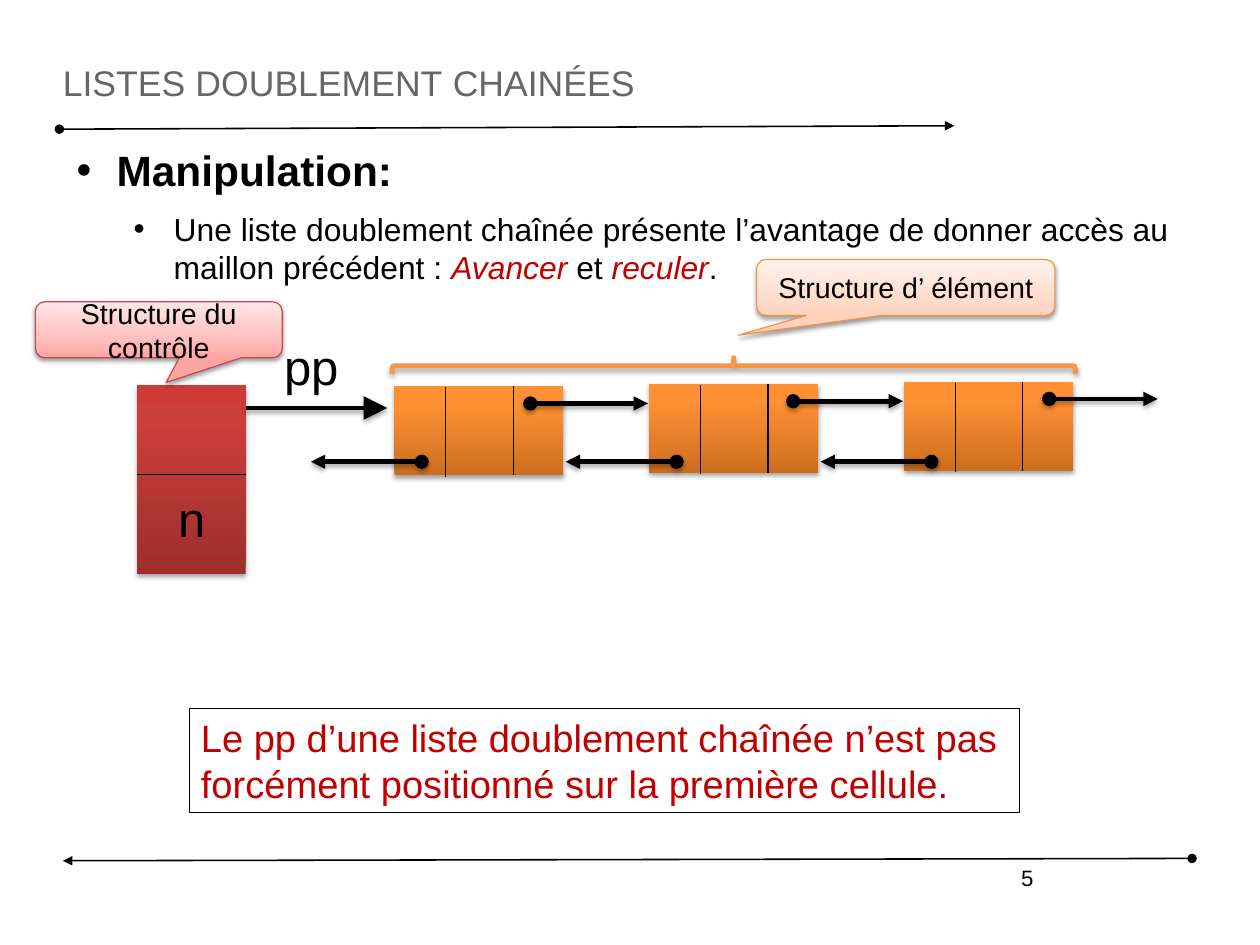
from lxml import etree
from pptx import Presentation
from pptx.dml.color import RGBColor
from pptx.enum.shapes import MSO_CONNECTOR, MSO_SHAPE
from pptx.enum.text import MSO_ANCHOR, MSO_AUTO_SIZE, PP_ALIGN
from pptx.oxml.ns import qn
from pptx.util import Emu, Inches, Pt

STRAIGHT = MSO_CONNECTOR.STRAIGHT
RECTANGLE = MSO_SHAPE.RECTANGLE
CALLOUT = MSO_SHAPE.ROUNDED_RECTANGULAR_CALLOUT
LEFT_BRACE = MSO_SHAPE.LEFT_BRACE
LEFT, CENTER, RIGHT = PP_ALIGN.LEFT, PP_ALIGN.CENTER, PP_ALIGN.RIGHT
TOP, MIDDLE = MSO_ANCHOR.TOP, MSO_ANCHOR.MIDDLE
NO_AUTOFIT = MSO_AUTO_SIZE.NONE

# The 28 x 21 cm screen format, in its exact units
SLIDE_WIDTH, SLIDE_HEIGHT = Emu(10080625), Emu(7559675)
FONT = "Arial"
BLACK, WHITE, GREY, RED = "000000", "FFFFFF", "666666", "C00000"
ORANGE_STOPS = [(0, "CC6E20"), (80, "FF9034"), (100, "FF9136")]
RED_STOPS = [(0, "9C2F2D"), (80, "CB3E3A"), (100, "CE3B37")]
PINK_STOPS = [(0, "FFA6A5"), (35, "FFC0BF"), (100, "FFE7E7")]
PEACH_STOPS = [(0, "FFD2BD"), (35, "FFDED0"), (100, "FFF2ED")]


def rgb(value):
    return RGBColor.from_string(value)


def add_element(parent, tag, **attributes):
    return etree.SubElement(parent, qn(tag), {k: str(v) for k, v in attributes.items()})


def format_font(font, size, color, bold=False, italic=False):
    font.name, font.size = FONT, Pt(size)
    font.bold, font.italic = bold, italic
    font.color.rgb = rgb(color)


def set_line(line, color, width):
    line.color.rgb = rgb(color)
    line.width = Pt(width)


def add_shadow(effects, alpha=35, distance=1.8):
    shadow = add_element(effects, "a:outerShdw", blurRad=Pt(3.1), dist=Pt(distance),
                         dir=90 * 60000, rotWithShape=0)
    color = add_element(shadow, "a:srgbClr", val=BLACK)
    add_element(color, "a:alpha", val=alpha * 1000)


def fill_gradient(shape, stops):
    """Fill from the bottom edge to the top with (percent, colour) stops."""
    shape.fill.gradient()
    shape.fill.gradient_angle = 90
    stop_list = shape._element.spPr.find(qn("a:gradFill")).find(qn("a:gsLst"))
    stop_list.clear()
    for percent, color in stops:
        stop = add_element(stop_list, "a:gs", pos=percent * 1000)
        add_element(stop, "a:srgbClr", val=color)


def write_text(shape, text, size, color=BLACK, align=LEFT, anchor=TOP):
    text_frame = shape.text_frame
    text_frame.word_wrap = True
    text_frame.vertical_anchor = anchor
    text_frame.text = text
    paragraph = text_frame.paragraphs[0]
    paragraph.alignment = align
    format_font(paragraph.runs[0].font, size, color)


def add_text(slide, box, text, size, align=LEFT):
    write_text(slide.shapes.add_textbox(*map(Inches, box)), text, size, align=align)


def add_plain_shape(slide, kind, box):
    shape = slide.shapes.add_shape(kind, *map(Inches, box))
    shape.shadow.inherit = False
    shape.line.fill.background()
    return shape


def add_shaded_shape(slide, kind, box, stops, alpha=35, distance=1.8):
    shape = add_plain_shape(slide, kind, box)
    fill_gradient(shape, stops)
    add_shadow(shape._element.spPr.find(qn("a:effectLst")), alpha, distance)
    return shape


def add_line(slide, start, end, width=0.75, head=None, tail=None, tail_size="med", shadow=False):
    connector = slide.shapes.add_connector(STRAIGHT, *map(Inches, (*start, *end)))
    set_line(connector.line, BLACK, width)
    properties = connector._element.spPr
    outline = properties.find(qn("a:ln"))
    if head:
        add_element(outline, "a:headEnd", type=head)
    if tail:
        add_element(outline, "a:tailEnd", type=tail, w=tail_size, len=tail_size)
    effects = add_element(properties, "a:effectLst")
    if shadow:
        add_shadow(effects)


def place_placeholder(placeholder, box):
    placeholder.left, placeholder.top, placeholder.width, placeholder.height = map(Inches, box)
    text_frame = placeholder.text_frame
    text_frame.auto_size = NO_AUTOFIT
    text_frame.margin_left = text_frame.margin_right = 0
    text_frame.margin_top = text_frame.margin_bottom = 0


def fill_title(slide, box):
    title = slide.shapes.title
    place_placeholder(title, box)
    write_text(title, "listes doublement chainées", 28, GREY, anchor=MIDDLE)
    title.text_frame.paragraphs[0].runs[0]._r.get_or_add_rPr().set("cap", "small")


def add_bullet(paragraph, level, margin, space_before, runs):
    paragraph.level = level
    properties = paragraph._p.get_or_add_pPr()
    properties.set("marL", str(Inches(margin)))
    properties.set("indent", str(Inches(-0.35)))
    add_element(properties, "a:buFont", typeface=FONT)
    add_element(properties, "a:buChar", char="•")
    paragraph.space_before = Pt(space_before)
    for text, *style in runs:
        run = paragraph.add_run()
        run.text = text
        format_font(run.font, *style)


def fill_body(slide, box):
    body = slide.placeholders[1]
    place_placeholder(body, box)
    text_frame = body.text_frame
    add_bullet(text_frame.paragraphs[0], 0, 0.47, 0, [("Manipulation:", 26.7, BLACK, True)])
    add_bullet(text_frame.add_paragraph(), 1, 0.97, 9.4, [
        ("Une liste doublement chaînée présente l’avantage de donner accès au "
         "maillon précédent : ", 20, BLACK),
        ("Avancer", 20, RED, False, True),
        (" et ", 20, BLACK),
        ("reculer", 20, RED, False, True),
        (".", 20, BLACK),
    ])


def add_cell(slide, box, next_start):
    left, top, width, height = box
    add_shaded_shape(slide, RECTANGLE, box, ORANGE_STOPS)
    for offset, drop in ((0.45, 0.01), (1.04, 0)):
        x = left + offset
        add_line(slide, (x, top + drop), (x, top + drop + height))
    next_y, previous_y = top + 0.15, 4.04
    pointers = (((left + next_start, next_y), (left + 2.22, next_y)),
                ((left + 0.24, previous_y), (left - 0.73, previous_y)))
    for start, end in pointers:
        add_line(slide, start, end, 3, "oval", "triangle", shadow=True)


def add_cells(slide, left, top):
    for index, next_start in enumerate((1.19, 1.26, 1.27)):
        add_cell(slide, (left + 2.23 * index, top - 0.02 * index, 1.48, 0.78), next_start)


def add_control(slide, box):
    left, top, width, height = box
    right = left + width
    add_shaded_shape(slide, RECTANGLE, box, RED_STOPS)
    add_line(slide, (left, top + 0.78), (right, top + 0.78))
    add_line(slide, (right, top + 0.2), (right + 1.24, top + 0.2), 3,
             tail="triangle", tail_size="lg", shadow=True)
    add_text(slide, (left + 0.26, top + 0.85, 0.52, 0.62), "n", 30.9)
    add_text(slide, (right + 0.24, top - 0.48, 0.71, 0.62), "pp", 30.9)


def add_callout(slide, box, text, stops, line_color, tip):
    callout = add_shaded_shape(slide, CALLOUT, box, stops, 38, 1.6)
    set_line(callout.line, line_color, 0.75)
    for index, value in enumerate((*tip, 0.17)):
        callout.adjustments[index] = value
    write_text(callout, text, 18, align=CENTER, anchor=MIDDLE)


def add_brace(slide, box):
    brace = add_plain_shape(slide, LEFT_BRACE, box)
    brace.rotation = 90
    brace.fill.background()
    set_line(brace.line, "F79646", 3)
    add_shadow(brace._element.spPr.find(qn("a:effectLst")))


def add_remark(slide, box):
    remark = add_plain_shape(slide, RECTANGLE, box)
    remark.fill.solid()
    remark.fill.fore_color.rgb = rgb(WHITE)
    set_line(remark.line, BLACK, 0.75)
    write_text(remark, "Le pp d’une liste doublement chaînée n’est pas forcément "
               "positionné sur la première cellule.", 24, RED)


def main():
    presentation = Presentation()
    presentation.slide_width = SLIDE_WIDTH
    presentation.slide_height = SLIDE_HEIGHT
    slide = presentation.slides.add_slide(presentation.slide_layouts[1])
    for start, end in (((0.52, 1.13), (8.35, 1.1)), ((10.43, 7.51), (0.55, 7.53))):
        add_line(slide, start, end, 1, "oval", "triangle")
    add_text(slide, (6.57, 7.51, 2.57, 0.57), "5", 14, RIGHT)
    fill_title(slide, (0.55, 0.33, 9.92, 0.72))
    fill_body(slide, (0.55, 1.26, 9.84, 6.23))
    add_cells(slide, 3.45, 3.38)
    add_control(slide, (1.2, 3.37, 0.95, 1.65))
    add_remark(slide, (1.66, 6.2, 7.26, 0.91))
    add_callout(slide, (0.31, 2.64, 2.16, 0.49), "Structure du contrôle",
                PINK_STOPS, "BF4C48", (0.03, 0.94))
    add_callout(slide, (6.62, 2.27, 2.61, 0.49), "Structure d’ élément",
                PEACH_STOPS, "F69240", (-0.56, 0.85))
    add_brace(slide, (6.35, 0.21, 0.14, 5.98))
    presentation.save("out.pptx")


if __name__ == "__main__":
    main()
